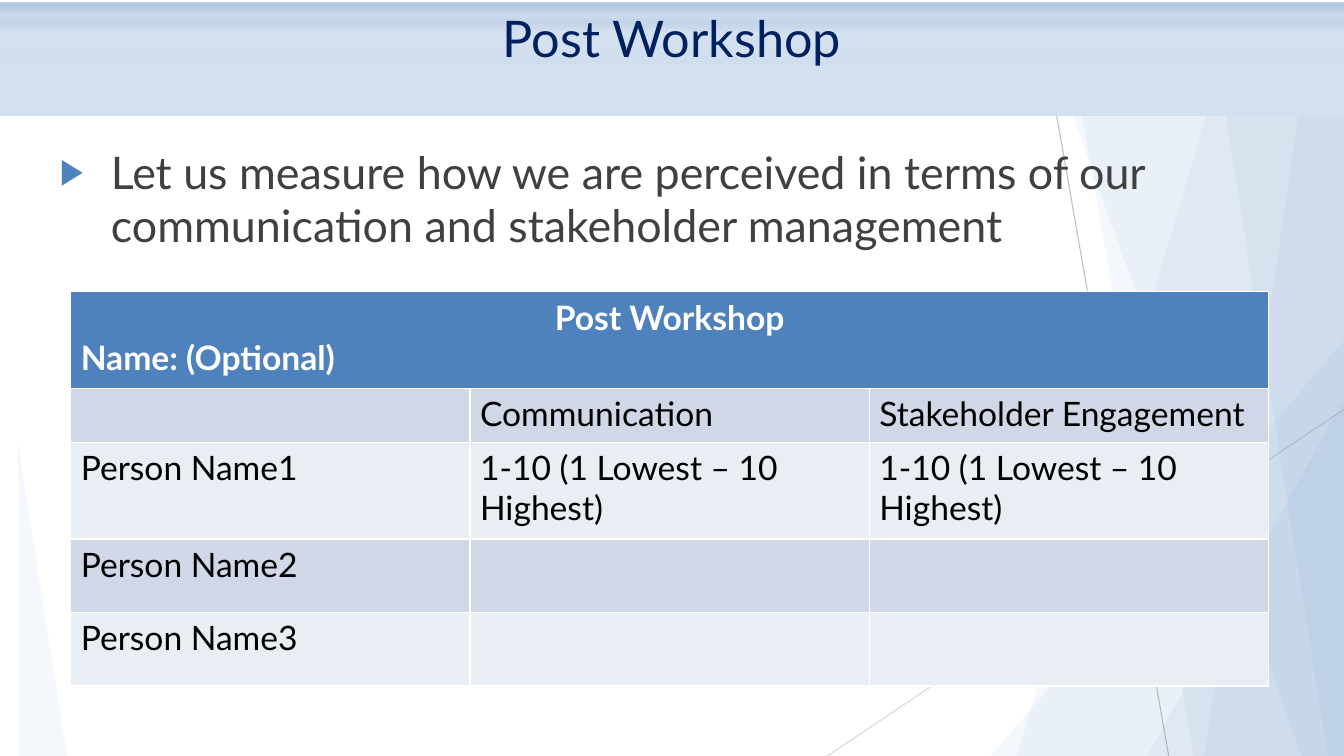
from dataclasses import dataclass

from lxml.etree import SubElement
from pptx import Presentation
from pptx.dml.color import RGBColor as RGB
from pptx.enum.shapes import MSO_CONNECTOR as CONNECTOR, MSO_SHAPE as SHAPE
from pptx.enum.text import MSO_ANCHOR as ANCHOR, MSO_AUTO_SIZE as AUTO_SIZE, PP_ALIGN as ALIGN
from pptx.oxml.ns import qn
from pptx.util import Pt


@dataclass(frozen=True)
class Theme:
    font: str = "Lato"
    title_size: int = 36
    body_size: int = 32
    table_size: int = 24
    accent: str = "4F81BD"
    title: str = "002060"
    body: str = "404040"
    header_text: str = "FFFFFF"
    cell_text: str = "000000"
    bands: tuple = ("D0D8E8", "E9EDF4")
    banner: tuple = (
        (0, "BDD0E6"), (2, "B0C6E1"), (12, "CAD9EB"), (18, "C4D5E9"), (28, "D3E0EF"),
        (38, "D1DFEE"), (49, "CFDDED"), (61, "D3E0EF"), (68, "D2E0EF"), (69, "D3E0EF"),
    )


theme = Theme()


def style_text(tf, size, color, bold=False):
    for p in tf.paragraphs:
        for r in p.runs:
            r.font.name = theme.font
            r.font.size = Pt(size)
            r.font.bold = bold
            r.font.color.rgb = RGB.from_string(color)


def tint(sp):
    sp.shadow.inherit = False
    sp.fill.solid()
    sp.fill.fore_color.rgb = RGB.from_string(theme.accent)
    sp.line.fill.background()
    color = sp._element.spPr.find(qn("a:solidFill"))[0]
    SubElement(color, qn("a:alpha"), val="6000")


prs = Presentation()
prs.slide_width, prs.slide_height = Pt(960), Pt(540)
s = prs.slides.add_slide(prs.slide_layouts[1])
shapes = s.shapes
title, body = shapes.title, s.placeholders[1]

for x1, y1, x2, y2, color in (
    (741, 3.5, 835, 541, "BFBFBF"),
    (960, 292.5, 589.5, 541, "D9D9D9"),
):
    line = shapes.add_connector(CONNECTOR.STRAIGHT, Pt(x1), Pt(y1), Pt(x2), Pt(y2))
    line.line.color.rgb = RGB.from_string(color)
    line.line.width = Pt(0.75)
    SubElement(line._element.spPr, qn("a:effectLst"))

for top_x, bottom_x in ((885, 726), (759, 853), (738, 930), (939, 860), (862.5, 949)):
    outline = shapes.build_freeform(Pt(top_x), Pt(3))
    outline.add_line_segments(
        [(Pt(960), Pt(3)), (Pt(960), Pt(541)), (Pt(bottom_x), Pt(541))], close=True
    )
    tint(outline.convert_to_shape())

for left, top, width, height, apex in (
    (707, 243, 253, 298, 1),
    (819, 285, 141, 256, 1),
    (13, 318, 35, 223, 0),
):
    sp = shapes.add_shape(SHAPE.ISOSCELES_TRIANGLE, Pt(left), Pt(top), Pt(width), Pt(height))
    sp.adjustments[0] = apex
    tint(sp)

for ph, left, top, width, height in (
    (title, 0, 1.5, 960, 81.5),
    (body, 35.5, 99.5, 899, 390),
):
    ph.left, ph.top, ph.width, ph.height = Pt(left), Pt(top), Pt(width), Pt(height)
    ph.text_frame.vertical_anchor = ANCHOR.TOP
    ph.text_frame.auto_size = AUTO_SIZE.NONE
    ph.text_frame.word_wrap = True
    shapes._spTree.append(ph._element)

title.text_frame.text = "Post Workshop"
title.text_frame.paragraphs[0].alignment = ALIGN.CENTER
style_text(title.text_frame, theme.title_size, theme.title)
title.fill.gradient()
title.fill.gradient_angle = 270
stops = title._element.spPr.find(qn("a:gradFill")).find(qn("a:gsLst"))
for stop in list(stops):
    stops.remove(stop)
for percent, color in theme.banner:
    stop = SubElement(stops, qn("a:gs"), pos=str(percent * 1000))
    SubElement(stop, qn("a:srgbClr"), val=color)

body.text_frame.text = (
    "Let us measure how we are perceived in terms of our "
    "communication and stakeholder management"
)
p = body.text_frame.paragraphs[0]
p.space_before = Pt(0)
pPr = p._p.get_or_add_pPr()
pPr.set("marL", str(Pt(36.5)))
pPr.set("indent", str(-Pt(36.5)))
SubElement(SubElement(pPr, qn("a:buClr")), qn("a:srgbClr"), val=theme.accent)
SubElement(pPr, qn("a:buSzPct"), val="80000")
SubElement(pPr, qn("a:buChar"), char="▶")
style_text(body.text_frame, theme.body_size, theme.body)

scale = "1-10 (1 Lowest – 10 Highest)"
rows = (
    ("Post Workshop\nName: (Optional)", "", ""),
    ("", "Communication", "Stakeholder Engagement"),
    ("Person Name1", scale, scale),
    ("Person Name2", "", ""),
    ("Person Name3", "", ""),
)
heights = (69, 38.5, 69, 52.5, 52.5)
table = shapes.add_table(5, 3, Pt(50.5), Pt(208.5), Pt(855.6), Pt(sum(heights))).table
for column in table.columns:
    column.width = Pt(285.2)
for i, (texts, height) in enumerate(zip(rows, heights)):
    header = i == 0
    table.rows[i].height = Pt(height)
    for cell, text in zip(table.rows[i].cells, texts):
        cell.fill.solid()
        cell.fill.fore_color.rgb = RGB.from_string(
            theme.accent if header else theme.bands[(i - 1) % 2]
        )
        cell.text_frame.text = text
        color = theme.header_text if header else theme.cell_text
        style_text(cell.text_frame, theme.table_size, color, header)
table.cell(0, 0).merge(table.cell(0, 2))
table.cell(0, 0).text_frame.paragraphs[0].alignment = ALIGN.CENTER

prs.save("out.pptx")
